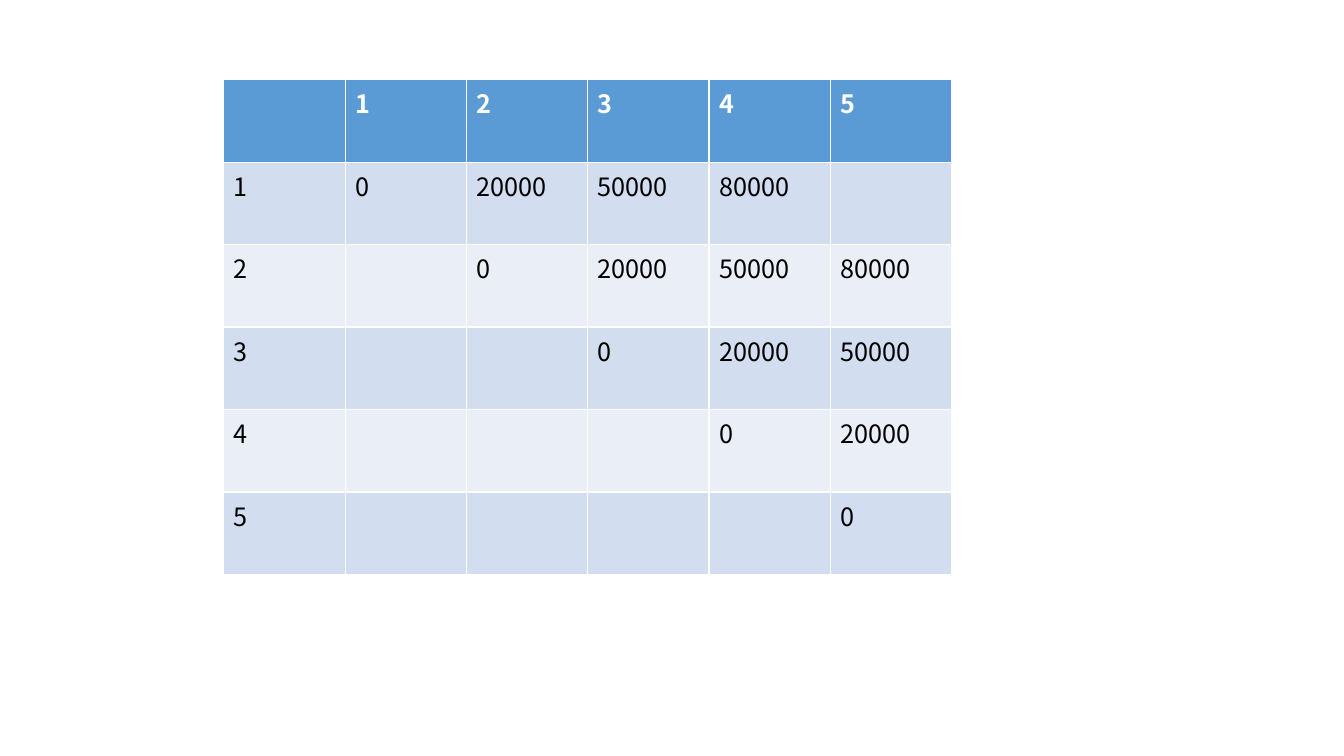
from dataclasses import dataclass

from pptx import Presentation
from pptx.dml.color import RGBColor
from pptx.table import _Cell
from pptx.util import Inches, Pt

FONT = "Noto Sans CJK KR"
WHITE = RGBColor(0xFF, 0xFF, 0xFF)
BLACK = RGBColor(0x00, 0x00, 0x00)
BLUE = RGBColor(0x5B, 0x9B, 0xD5)
BAND_DARK = RGBColor(0xD2, 0xDE, 0xEF)
BAND_LIGHT = RGBColor(0xEA, 0xEF, 0xF7)

STATIONS = 5
COST_BY_DISTANCE = {0: "0", 1: "20000", 2: "50000", 3: "80000"}


@dataclass(frozen=True)
class RowStyle:
    fill: RGBColor
    color: RGBColor
    bold: bool


HEADER = RowStyle(BLUE, WHITE, True)
BANDS = (RowStyle(BAND_LIGHT, BLACK, False), RowStyle(BAND_DARK, BLACK, False))


def cell_text(row: int, column: int) -> str:
    """Row 0 and column 0 hold labels; the rest depends on the distance."""
    if row == 0 or column == 0:
        return str(row + column or "")
    return COST_BY_DISTANCE.get(column - row, "")


def fill_cell(cell: _Cell, text: str, style: RowStyle) -> None:
    cell.fill.solid()
    cell.fill.fore_color.rgb = style.fill
    cell.text = text
    font = cell.text_frame.paragraphs[0].font
    font.name = FONT
    font.size = Pt(18)
    font.bold = style.bold
    font.color.rgb = style.color


def main() -> None:
    deck = Presentation()
    deck.slide_width = Inches(13.33)
    deck.slide_height = Inches(7.5)
    page = deck.slides.add_slide(deck.slide_layouts[6])

    size = STATIONS + 1
    # The default table style supplies the white grid and thick header rule.
    table = page.shapes.add_table(
        size, size, Inches(2.22), Inches(0.79), Inches(7.22), Inches(4.91)
    ).table
    for row in range(size):
        style = BANDS[row % 2] if row else HEADER
        for column in range(size):
            fill_cell(table.cell(row, column), cell_text(row, column), style)

    deck.save("out.pptx")


if __name__ == "__main__":
    main()
